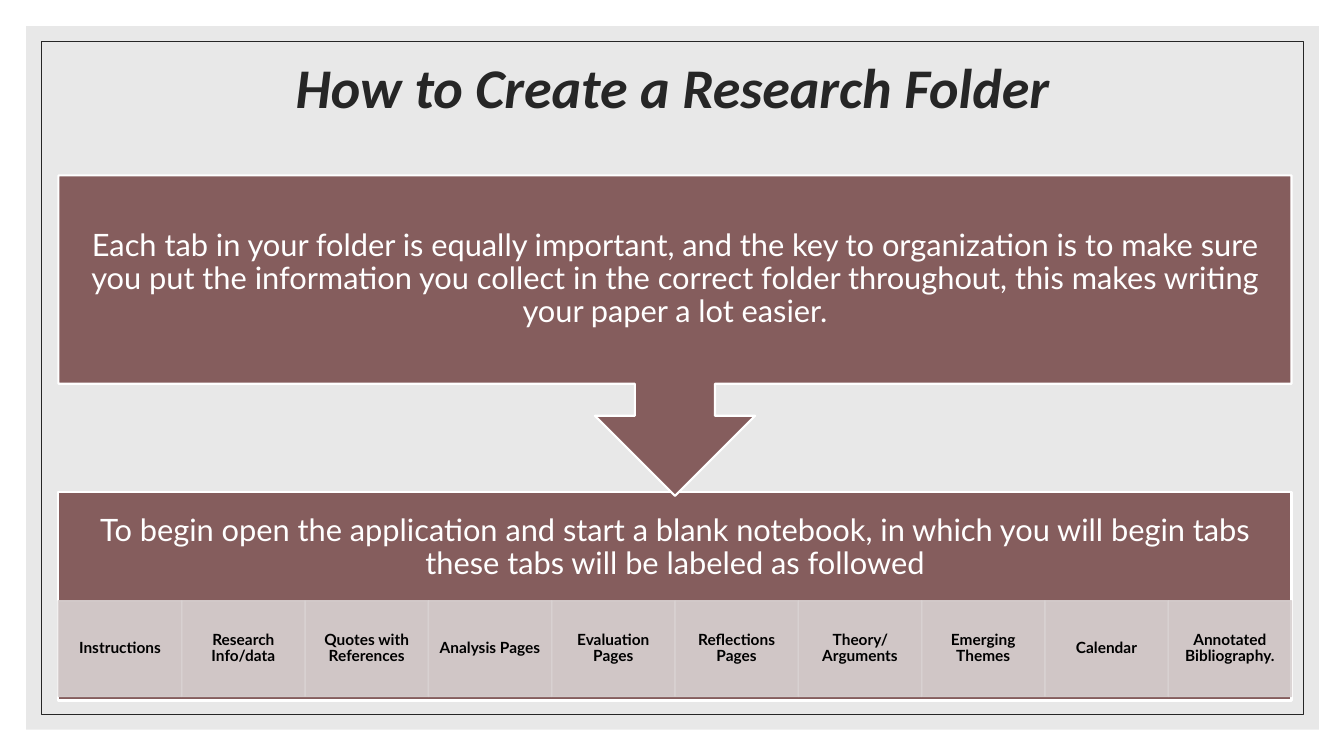
from lxml import etree
from pptx import Presentation
from pptx.dml.color import RGBColor
from pptx.enum.shapes import MSO_SHAPE as SHAPE
from pptx.enum.text import MSO_ANCHOR as ANCHOR, PP_ALIGN as ALIGN
from pptx.oxml.ns import qn
from pptx.util import Inches, Pt


def add_box(kind, left, top, width, height, fill=None, line=None, line_width=1, opacity=100):
    """Add a shape; opacity is a percentage for both fill and line."""
    s = slide.shapes.add_shape(kind, Inches(left), Inches(top), Inches(width), Inches(height))
    s.shadow.inherit = False
    if fill:
        s.fill.solid()
        s.fill.fore_color.rgb = RGBColor.from_string(fill)
    else:
        s.fill.background()
    if line:
        s.line.color.rgb = RGBColor.from_string(line)
        s.line.width = Pt(line_width)
    else:
        s.line.fill.background()
    if opacity < 100:
        for color in s._element.spPr.iter(qn("a:srgbClr")):
            etree.SubElement(color, qn("a:alpha"), val=str(opacity * 1000))
    return s


def write(s, text, size, color, inset_x, inset_y, font="Lato", bold=False, italic=False):
    tf = s.text_frame
    tf.word_wrap = True
    tf.vertical_anchor = ANCHOR.MIDDLE
    tf.margin_left = tf.margin_right = Inches(inset_x)
    tf.margin_top = tf.margin_bottom = Inches(inset_y)
    p = tf.paragraphs[0]
    p.text = text
    p.alignment = ALIGN.CENTER
    p.line_spacing = 0.9
    p.font.name = font
    p.font.size = Pt(size)
    p.font.bold = bold
    p.font.italic = italic
    p.font.color.rgb = RGBColor.from_string(color)


WHITE, DARK, MAROON, TAB = "FFFFFF", "262626", "855D5D", "D9D2D2"
LEFT, WIDTH = 0.58, 12.23
TAB_TOP, TAB_HEIGHT = 5.96, 0.95
TABS = ["Instructions", "Research Info/data", "Quotes with References", "Analysis Pages",
        "Evaluation Pages", "Reflections Pages", "Theory/Arguments", "Emerging Themes",
        "Calendar", "Annotated Bibliography."]

prs = Presentation()
prs.slide_width, prs.slide_height = Inches(13.33), Inches(7.5)
slide = prs.slides.add_slide(prs.slide_layouts[6])

# Background panel and thin frame
add_box(SHAPE.RECTANGLE, 0.26, 0.26, 12.82, 6.98, fill="D9D9D9", opacity=60)
add_box(SHAPE.RECTANGLE, 0.41, 0.41, 12.52, 6.68, line=DARK, line_width=0.5)

title = slide.shapes.add_textbox(Inches(1.17), Inches(0.15), Inches(11), Inches(1.5))
write(title, "How to Create a Research Folder", 40, DARK, 0.1, 0.05,
      font="Calibri", bold=True, italic=True)

# Second step, with its text above the row of tabs
begin = add_box(SHAPE.RECTANGLE, LEFT, 4.88, WIDTH, 2.07, MAROON, WHITE, 1.5)
write(begin, "To begin open the application and start a blank notebook, in which you will "
      "begin tabs these tabs will be labeled as followed", 22, WHITE, 0.17, 0.17)
begin.text_frame.margin_bottom = Inches(0.17 + TAB_HEIGHT)

tab_width = WIDTH / len(TABS)
for i, label in enumerate(TABS):
    tab = add_box(SHAPE.RECTANGLE, LEFT + i * tab_width, TAB_TOP, tab_width, TAB_HEIGHT,
                  TAB, TAB, opacity=90)
    write(tab, label, 11, "000000", 0.09, 0.02, bold=True)

# First step, pointing down to the second
intro = add_box(SHAPE.DOWN_ARROW_CALLOUT, LEFT, 1.74, WIDTH, 3.18, MAROON, WHITE, 1.5)
intro.adjustments[3] = 0.65
write(intro, "Each tab in your folder is equally important, and the key to organization is to "
      "make sure you put the information you collect in the correct folder throughout, this "
      "makes writing your paper a lot easier.", 22, WHITE, 0.17, 0.17)

prs.save("out.pptx")
